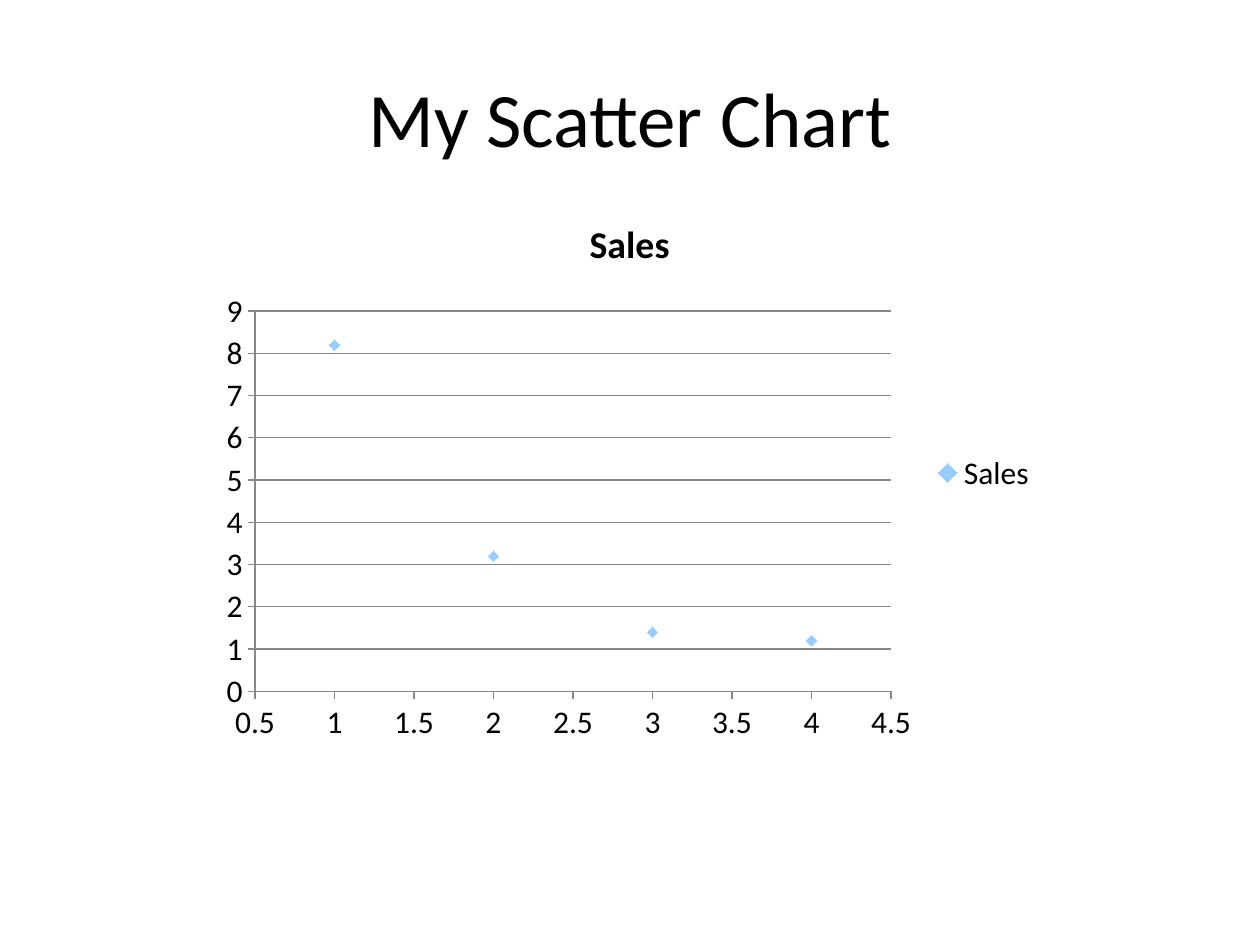
from pptx import Presentation
from pptx.chart.data import XyChartData
from pptx.dml.color import RGBColor
from pptx.enum.chart import XL_CHART_TYPE as ChartType, XL_LEGEND_POSITION as LegendPosition
from pptx.enum.chart import XL_MARKER_STYLE as MarkerStyle, XL_TICK_MARK as TickMark
from pptx.enum.text import MSO_ANCHOR as Anchor, PP_ALIGN as Align
from pptx.util import Cm, Pt

COLORS = {"text": "000000", "axis": "878787", "marker": "99CCFF"}
FONT = "Calibri"
SALES = [(1, 8.2), (2, 3.2), (3, 1.4), (4, 1.2)]


def color(name):
    return RGBColor.from_string(COLORS[name])


def style_font(font, size, bold=False):
    font.name = FONT
    font.size = Pt(size)
    font.bold = bold
    font.color.rgb = color("text")


def style_line(line):
    line.color.rgb = color("axis")
    line.width = Pt(0.75)


def place_title(slide, box, text):
    title = slide.shapes.title
    title.left, title.top, title.width, title.height = box
    text_frame = title.text_frame
    text_frame.text = text
    text_frame.vertical_anchor = Anchor.MIDDLE
    paragraph = text_frame.paragraphs[0]
    paragraph.alignment = Align.CENTER
    style_font(paragraph.runs[0].font, 44)


def style_axis(axis, minimum, maximum, step, gridlines):
    axis.minimum_scale = minimum
    axis.maximum_scale = maximum
    axis.major_unit = step
    axis.major_tick_mark = TickMark.OUTSIDE
    axis.minor_tick_mark = TickMark.NONE
    axis.has_major_gridlines = gridlines
    style_line(axis.format.line)
    if gridlines:
        style_line(axis.major_gridlines.format.line)


def place_scatter_chart(slide, box, name, points):
    chart_data = XyChartData()
    series_data = chart_data.add_series(name)
    for x, y in points:
        series_data.add_data_point(x, y)
    chart = slide.shapes.add_chart(ChartType.XY_SCATTER, *box, chart_data).chart
    style_font(chart.font, 18)

    chart.has_title = True
    title_frame = chart.chart_title.text_frame
    title_frame.text = name
    style_font(title_frame.paragraphs[0].runs[0].font, 21.6, bold=True)

    chart.has_legend = True
    chart.legend.position = LegendPosition.RIGHT
    chart.legend.include_in_layout = False

    style_axis(chart.category_axis, 0.5, 4.5, 0.5, gridlines=False)
    style_axis(chart.value_axis, 0, 9, 1, gridlines=True)

    plot = chart.plots[0]
    plot.vary_by_categories = False
    series = plot.series[0]
    series.smooth = False
    series.format.line.fill.background()
    marker = series.marker
    marker.style = MarkerStyle.DIAMOND
    marker.size = 6
    marker.format.fill.solid()
    marker.format.fill.fore_color.rgb = color("marker")
    marker.format.line.fill.background()


def main():
    presentation = Presentation()
    presentation.slide_width, presentation.slide_height = Cm(25.4), Cm(19.05)
    slide = presentation.slides.add_slide(presentation.slide_layouts[5])
    place_title(slide, (Cm(1.27), Cm(0.76), Cm(22.86), Cm(3.18)), "My Scatter Chart")
    place_scatter_chart(slide, (Cm(4.23), Cm(3.89), Cm(16.93), Cm(11.29)), "Sales", SALES)
    presentation.save("out.pptx")


if __name__ == "__main__":
    main()
